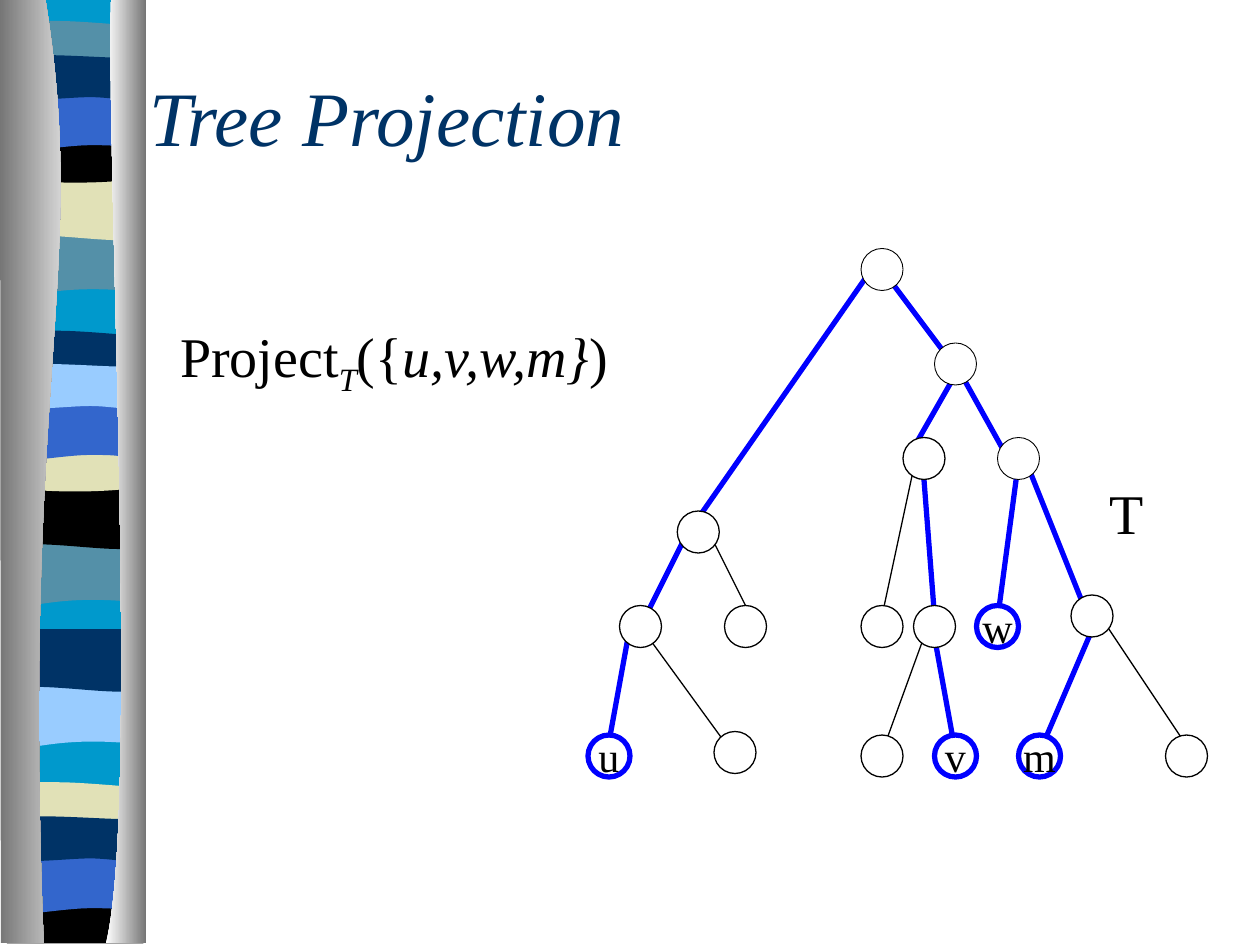
from lxml.etree import SubElement
from pptx import Presentation
from pptx.dml.color import RGBColor
from pptx.enum.shapes import MSO_CONNECTOR as Link, MSO_SHAPE as Kind
from pptx.enum.text import MSO_ANCHOR as Anchor, MSO_AUTO_SIZE as Fit, PP_ALIGN as Align
from pptx.oxml.ns import qn
from pptx.util import Pt

FONT = "Times New Roman"
HEX = {"white": "FFFFFF", "black": "000000", "blue": "0000FF", "navy": "003366",
       "cyan": "0099CC", "teal": "5490A8", "sand": "E1E1B7", "royal": "3366CC",
       "sky": "99CCFF", "grey": "767676"}

TITLE = "Tree Projection"
# text, italic, subscript
CALL = [("Project", False, False), ("T", True, True), ("({", False, False),
        ("u,v,w,m}", True, False), (")", False, False)]
NAME = [("T", False, False)]

# Outlines: a pair is a corner, a six-tuple is a curve (two handles, then its end)
BANDS = {
    "full": [(78, 0), (78, 538), (0, 538), (0, 0)],
    "wave": [(78, 0), (78, 34), (24, 28, 13, 40, 0, 34), (0, 0)],
    "dip": [(78, 0), (78, 34), (65, 39.5, 24, 30, 0, 34), (0, 0)],
    "lens": [(78, 0), (78, 17), (65, 20, 13, 20, 0, 17), (0, 0),
             (4, -3.5, 16.5, -3, 29.5, -3), (42.5, -3, 67.5, -0.5, 78, 0)],
    "bowl": [(78, 0), (78, 23), (65, 27.5, 13, 27.5, 0, 23), (0, 0),
             (47.5, 3.5, 61, 0, 78, 0)],
    "arch": [(78, 0), (78, 34), (65.5, 30, 61, 30, 47.5, 30),
             (34.5, 30, 11.5, 34, 0, 34), (0, 0)],
    "slab": [(78, 0), (78, 22.5), (73, 26, 60.5, 22.5, 47.5, 22.5),
             (34.5, 22.5, 8, 26, 0, 22.5), (0, 0), (11, -3.5, 52.5, 0, 65.5, 0),
             (78.5, 0, 75.5, 0, 78, 0)],
    "base": [(78, 0), (78, 26.5), (0, 26.5), (0, 0), (47.5, 3.5, 61, 0, 78, 0)],
}
# band, top, colour
STRIPES = [
    ("full", 0, "cyan"), ("wave", 133, "teal"), ("dip", 101.5, "sand"),
    ("lens", 15, "teal"), ("bowl", 78, "black"), ("arch", 53, "royal"),
    ("slab", 33, "navy"), ("wave", 310.5, "teal"), ("dip", 278, "black"),
    ("lens", 192, "navy"), ("bowl", 254.5, "sand"), ("arch", 230, "royal"),
    ("slab", 209.5, "sky"), ("wave", 391.5, "sky"), ("dip", 359.5, "navy"),
    ("lens", 450, "sand"), ("base", 512.5, "black"), ("arch", 489, "royal"),
    ("slab", 468, "navy"),
]
STRIPE_X = 4
# outline, colour at the left, colour at the right
EDGES = [
    ([(26, 0), (51, 155.5, 12, 213, 25, 539), (0.5, 539), (0, 0)], "grey", "white"),
    ([(63.5, 0), (60.5, 90, 80, 465, 60.5, 539), (83.5, 539), (83.5, 0)], "white", "grey"),
]

# from x, y to x, y
KEPT = [(504, 154, 546, 210), (498, 154, 398, 297.5), (546, 208, 576, 262),
        (546, 214, 522, 256), (390, 310, 366, 358), (360, 358, 348, 424),
        (528, 274, 534, 352), (582, 264, 570, 354), (588, 268, 624, 358),
        (624, 360, 594, 430), (534, 364, 546, 430)]
CUT = [(630, 354, 678, 426), (408, 310, 432, 358), (366, 358, 414, 424),
       (522, 268, 504, 352), (528, 364, 504, 430)]
# centre x, y
LEAVES = {"w": (570, 358), "v": (546, 432), "m": (594, 432), "u": (348, 432)}
UPPER = [(504, 154), (546, 208), (582, 262)]
LOWER = [(528, 262), (678, 432), (624, 352), (534, 358), (504, 358), (504, 432),
         (426, 358), (399, 304), (366, 358), (420, 430)]
NODE = 24


def tint(name):
    return RGBColor.from_string(HEX[name])


def add_free(slide, outline, left=0, top=0):
    """Draw all points with straight lines, then fold each curve's three into one Bezier."""
    dots = [(Pt(left + x), Pt(top + y))
            for part in outline for x, y in zip(part[::2], part[1::2])]
    pen = slide.shapes.build_freeform(*dots[0])
    pen.add_line_segments(dots[1:], close=True)
    shape = pen.convert_to_shape()
    shape.shadow.inherit = False
    shape.line.fill.background()
    lines = shape._element.iter(qn("a:lnTo"))
    steps = iter(list(lines))
    for part in outline[1:]:
        step = next(steps)
        if len(part) == 6:
            step.tag = qn("a:cubicBezTo")
            for _ in range(2):
                extra = next(steps)
                step.append(extra[0])
                extra.getparent().remove(extra)
    return shape


def add_run(para, text, size, color="black", italic=False):
    run = para.add_run()
    run.text = text
    font = run.font
    font.name, font.size, font.italic = FONT, Pt(size), italic
    font.color.rgb = tint(color)
    return run


def add_text(slide, runs, box):
    frame = slide.shapes.add_textbox(*map(Pt, box)).text_frame
    frame.word_wrap = False
    para = frame.paragraphs[0]
    para.alignment = Align.CENTER
    for text, italic, sub in runs:
        run = add_run(para, text, 32, italic=italic)
        if sub:
            run.font._element.set("baseline", "-25000")


def add_branch(slide, ends, color, width):
    line = slide.shapes.add_connector(Link.STRAIGHT, *map(Pt, ends))
    line.line.color.rgb = tint(color)
    line.line.width = Pt(width)
    SubElement(line._element.spPr, qn("a:effectLst"))


def add_node(slide, spot, color="black", width=0.75, label=None):
    x, y = (c - NODE / 2 for c in spot)
    node = slide.shapes.add_shape(Kind.OVAL, Pt(x), Pt(y), Pt(NODE), Pt(NODE))
    node.shadow.inherit = False
    node.fill.solid()
    node.fill.fore_color.rgb = tint("white")
    node.line.color.rgb = tint(color)
    node.line.width = Pt(width)
    if label:
        frame = node.text_frame
        frame.word_wrap = False
        frame.vertical_anchor = Anchor.MIDDLE
        para = frame.paragraphs[0]
        para.alignment = Align.CENTER
        add_run(para, label, 24)


def add_title(slide):
    title = slide.shapes.title
    title.left, title.top, title.width, title.height = map(Pt, (78, 42, 624, 48))
    frame = title.text_frame
    frame.auto_size = Fit.NONE
    frame.vertical_anchor = Anchor.MIDDLE
    para = frame.paragraphs[0]
    para.alignment = Align.LEFT
    add_run(para, TITLE, 44, "navy", True)


def main():
    deck = Presentation()
    deck.slide_width, deck.slide_height = Pt(720), Pt(540)
    slide = deck.slides.add_slide(deck.slide_layouts[5])

    for band, top, color in STRIPES:
        fill = add_free(slide, BANDS[band], STRIPE_X, top).fill
        fill.solid()
        fill.fore_color.rgb = tint(color)
    for outline, *pair in EDGES:
        fill = add_free(slide, outline).fill
        fill.gradient()
        fill.gradient_angle = 0
        for stop, color, place in zip(fill.gradient_stops, pair, (0, 1)):
            stop.color.rgb = tint(color)
            stop.position = place

    add_title(slide)
    add_text(slide, CALL, (93.5, 180, 263.5, 51))
    for ends in KEPT:
        add_branch(slide, ends, "blue", 3)
    for ends in CUT:
        add_branch(slide, ends, "black", 0.75)
    for spot in UPPER:
        add_node(slide, spot, width=0.5)
    for label, spot in LEAVES.items():
        add_node(slide, spot, "blue", 3, label)
    for spot in LOWER:
        add_node(slide, spot)
    add_text(slide, NAME, (626.5, 270, 34, 46))
    deck.save("out.pptx")


if __name__ == "__main__":
    main()
